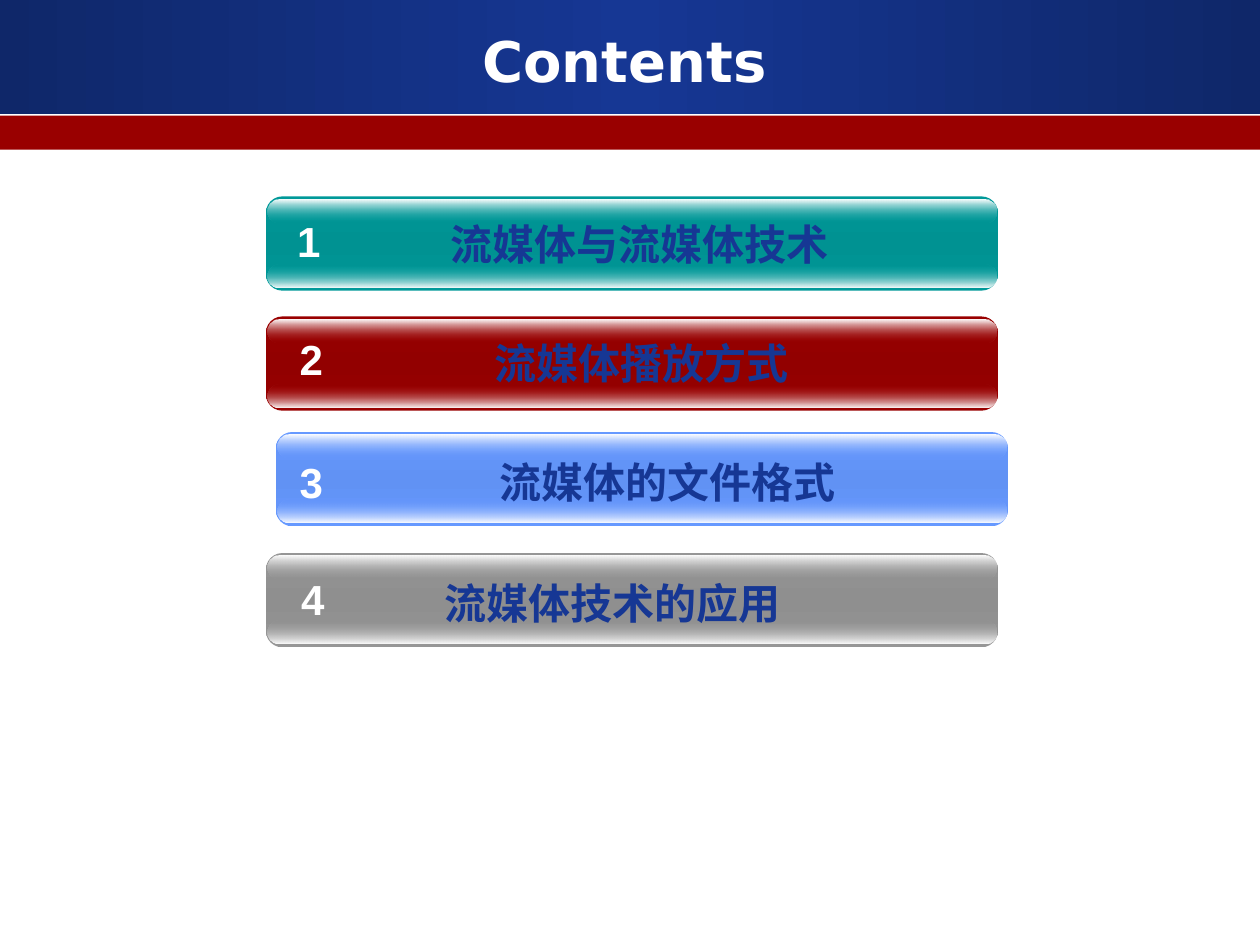
"""Build a contents slide with four glossy numbered bars."""
from typing import NamedTuple

from lxml.etree import SubElement
from pptx import Presentation
from pptx.dml.color import RGBColor
from pptx.enum.shapes import MSO_SHAPE as Preset
from pptx.enum.text import MSO_ANCHOR as Anchor, PP_ALIGN as Align
from pptx.oxml.ns import qn
from pptx.util import Cm, Pt

WHITE = RGBColor(0xFF, 0xFF, 0xFF)
NAVY = RGBColor(0x16, 0x37, 0x94)
RED = RGBColor(0x99, 0x00, 0x00)
TEAL = RGBColor(0x00, 0x99, 0x99)
SKY = RGBColor(0x66, 0x99, 0xFF)
GRAY = RGBColor(0x96, 0x96, 0x96)

PAGE_WIDTH = 25.4
BAR_WIDTH, BAR_HEIGHT = 14.76, 1.9
GLOSS_INSET, GLOSS_HEIGHT = 0.03, 0.46
GLOSS_TOP, GLOSS_BOTTOM = 0.06, 1.37
TEXT_HEIGHT, NUMBER_WIDTH = 1.27, 1.07


class Place(NamedTuple):
    left: float
    top: float
    width: float
    height: float


class Stop(NamedTuple):
    position: int
    color: RGBColor
    effect: str = ""
    percent: float = 0


class Topic(NamedTuple):
    title: str
    color: RGBColor
    bar_left: float
    bar_top: float
    number_left: float
    number_top: float
    title_left: float
    title_top: float
    title_width: float


TOPICS = [
    Topic("流媒体与流媒体技术", TEAL, 5.36, 3.96, 5.69, 4.22, 6.65, 4.29, 12.5),
    Topic("流媒体播放方式", RED, 5.36, 6.38, 5.74, 6.6, 6.68, 6.68, 12.5),
    Topic("流媒体的文件格式", SKY, 5.56, 8.71, 5.74, 9.07, 6.68, 9.07, 13.56),
    Topic("流媒体技术的应用", GRAY, 5.36, 11.15, 5.77, 11.43, 6.93, 11.51, 10.82),
]


def add_block(page, preset: Preset, place: Place):
    shape = page.shapes.add_shape(preset, *map(Cm, place))
    shape.shadow.inherit = False
    shape.line.fill.background()
    return shape


def set_gradient(shape, angle: int, stops: list[Stop]) -> None:
    shape.fill.gradient()
    shape.fill.gradient_angle = angle
    stop_list = shape._element.spPr.find(qn("a:gradFill")).find(qn("a:gsLst"))
    for old in list(stop_list):
        stop_list.remove(old)
    for stop in stops:
        entry = SubElement(stop_list, qn("a:gs"), pos=str(stop.position * 1000))
        color = SubElement(entry, qn("a:srgbClr"), val=str(stop.color))
        if stop.effect:
            SubElement(color, qn(f"a:{stop.effect}"), val=str(round(stop.percent * 1000)))


def add_rounded(page, place: Place, rounding: float, stops: list[Stop]) -> None:
    shape = add_block(page, Preset.ROUNDED_RECTANGLE, place)
    shape.adjustments[0] = rounding
    set_gradient(shape, 270, stops)


def add_text(page, place: Place, text: str, color: RGBColor, size: int = 24,
             name: str = "Arial", anchor: Anchor = Anchor.TOP) -> None:
    frame = page.shapes.add_textbox(*map(Cm, place)).text_frame
    frame.word_wrap = True
    frame.vertical_anchor = anchor
    para = frame.paragraphs[0]
    para.text = text
    para.alignment = Align.CENTER
    para.font.name, para.font.size, para.font.bold = name, Pt(size), True
    para.font.color.rgb = color


def add_header(page) -> None:
    banner = add_block(page, Preset.RECTANGLE, Place(0, 0, PAGE_WIDTH, 2.31))
    set_gradient(banner, 0, [Stop(0, NAVY, "shade", 46.28), Stop(50, NAVY),
                             Stop(100, NAVY, "shade", 46.28)])
    stripe = add_block(page, Preset.RECTANGLE, Place(0, 2.33, PAGE_WIDTH, 0.69))
    stripe.fill.solid()
    stripe.fill.fore_color.rgb = RED
    add_text(page, Place(0.84, 0.43, 23.5, 1.57), "Contents", WHITE, 32,
             "DejaVu Sans", Anchor.MIDDLE)


def add_topic(page, number: int, topic: Topic) -> None:
    color, left, top = topic.color, topic.bar_left, topic.bar_top
    add_rounded(page, Place(left, top, BAR_WIDTH, BAR_HEIGHT), 0.175,
                [Stop(0, color), Stop(50, color, "shade", 90.98), Stop(100, color)])
    clear = Stop(0, color, "alpha", 0)
    glosses = [(GLOSS_BOTTOM, [clear, Stop(100, WHITE)]),
               (GLOSS_TOP, [Stop(0, WHITE), clear._replace(position=100)])]
    for offset, stops in glosses:
        add_rounded(page, Place(left + GLOSS_INSET, top + offset,
                                BAR_WIDTH - 2 * GLOSS_INSET, GLOSS_HEIGHT), 0.5, stops)
    add_text(page, Place(topic.title_left, topic.title_top, topic.title_width,
                         TEXT_HEIGHT), topic.title, NAVY)
    add_text(page, Place(topic.number_left, topic.number_top, NUMBER_WIDTH,
                         TEXT_HEIGHT), str(number), WHITE)


def main() -> None:
    deck = Presentation()
    deck.slide_width, deck.slide_height = Cm(PAGE_WIDTH), Cm(19.05)
    page = deck.slides.add_slide(deck.slide_layouts[6])
    add_header(page)
    for number, topic in enumerate(TOPICS, 1):
        add_topic(page, number, topic)
    deck.save("out.pptx")


if __name__ == "__main__":
    main()
